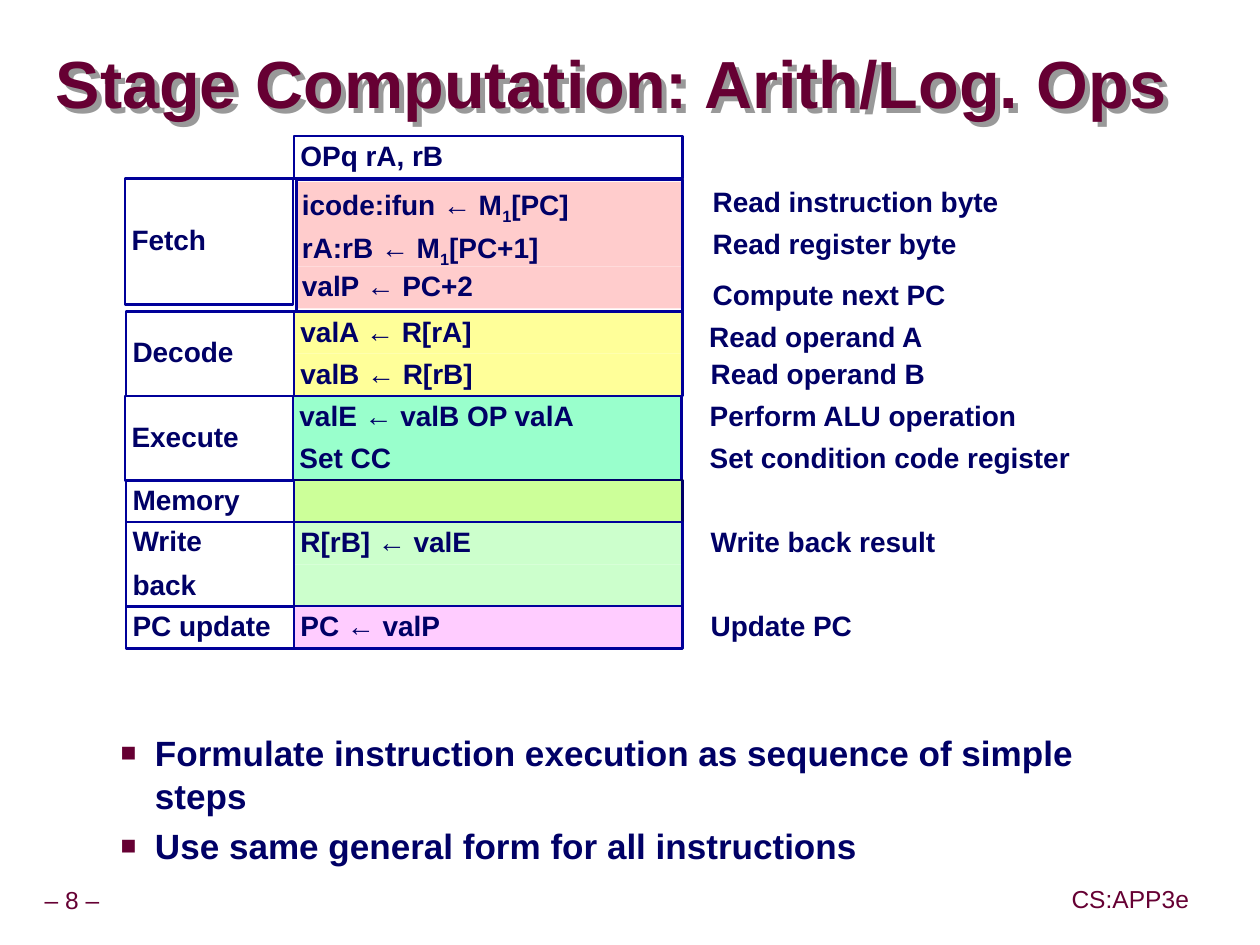
from lxml import etree
from pptx import Presentation
from pptx import util as u
from pptx.dml.color import RGBColor
from pptx.enum import shapes, text
from pptx.oxml import ns

COLORS = {
    "maroon": "660033", "navy": "000066", "border": "000099", "shadow": "999999",
    "fetch": "FFCCCC", "decode": "FFFF99", "execute": "99FFCC",
    "memory": "CCFF99", "write": "CCFFCC", "update": "FFCCFF",
}
ROW = 0.85
LABEL_WIDTH, STEP_WIDTH = 3.38, 7.82
NOTE_OFFSET = 11.64
CELL_FORMAT = {"size": u.Pt(16), "name": "Arial", "bold": True}
BODY_FORMAT = {"size": u.Pt(20), "name": "Arial", "bold": True}
TITLE_FORMAT = {"size": u.Pt(38), "name": "Arial", "bold": True}
FOOTER_FORMAT = {"size": u.Pt(14), "name": "Arial", "bold": False}

# Each step is (computation, note); a subscript stands between bars.
# nudge moves the computations, note_nudges moves single notes.
STAGES = [
    {"label": "Fetch", "color": "fetch", "box": (2.52, 3.59), "label_height": 2.54,
     "nudge": (0.05, 0.07), "note_nudges": [(0.06, 0.07), (0.06, 0.07), (0.06, 0.25)],
     "frame": (5.97, 3.61, 7.77, 2.66),
     "steps": [("icode:ifun ← M|1|[PC]", "Read instruction byte"),
               ("rA:rB ← M|1|[PC+1]", "Read register byte"),
               ("valP ← PC+2", "Compute next PC")]},
    {"label": "Decode", "color": "decode", "box": (2.54, 6.27),
     "note_nudges": [(-0.03, 0.11), (0, 0)],
     "steps": [("valA ← R[rA]", "Read operand A"), ("valB ← R[rB]", "Read operand B")]},
    {"label": "Execute", "color": "execute", "box": (2.52, 7.97),
     "steps": [("valE ← valB OP valA", "Perform ALU operation"),
               ("Set CC", "Set condition code register")]},
    {"label": "Memory", "color": "memory", "box": (2.54, 9.66),
     "border": "navy", "steps": [("", "")]},
    {"label": "Write\nback", "color": "write", "box": (2.54, 10.51),
     "steps": [("R[rB] ← valE", "Write back result"), ("", "")]},
    {"label": "PC update", "color": "update", "box": (2.54, 12.2),
     "steps": [("PC ← valP", "Update PC")]},
]


def rgb(name):
    return RGBColor.from_string(COLORS[name])


def apply_format(target, values):
    for name, value in values.items():
        setattr(target, name, value)


def set_frame(frame, inset, anchor, wrap=True):
    margins = {f"margin_{side}": u.Cm(inset) for side in ("left", "top", "right", "bottom")}
    apply_format(frame, {**margins, "vertical_anchor": anchor, "word_wrap": wrap,
                         "auto_size": text.MSO_AUTO_SIZE.NONE})


def write_paragraph(para, wording, values, color):
    for index, part in enumerate(wording.split("|")):
        span = para.add_run()
        span.text = part
        apply_format(span.font, values)
        span.font.color.rgb = rgb(color)
        if index % 2:
            span._r.get_or_add_rPr().set("baseline", "-25000")


def write_cell(shape, wording, anchor=text.MSO_ANCHOR.TOP):
    set_frame(shape.text_frame, 0.13, anchor)
    for index, line in enumerate(wording.split("\n")):
        para = shape.text_frame.add_paragraph() if index else shape.text_frame.paragraphs[0]
        apply_format(para, {"alignment": text.PP_ALIGN.LEFT, "line_spacing": 0.9,
                            "space_before": u.Pt(8 if index else 0)})
        write_paragraph(para, line, CELL_FORMAT, "navy")


def add_box(page, box, fill=None, border=None, wording="", anchor=text.MSO_ANCHOR.TOP):
    shape = page.shapes.add_shape(shapes.MSO_SHAPE.RECTANGLE, *map(u.Cm, box))
    shape.shadow.inherit = False
    if fill:
        shape.fill.solid()
        shape.fill.fore_color.rgb = rgb(fill)
    else:
        shape.fill.background()
    if border:
        shape.line.color.rgb = rgb(border)
        shape.line.width = u.Pt(1.5)
    else:
        shape.line.fill.background()
    if wording:
        write_cell(shape, wording, anchor)


def add_stage(page, stage):
    left, top = stage["box"]
    steps = stage["steps"]
    height = ROW * len(steps)
    step_left = left + LABEL_WIDTH
    shift_x, shift_y = stage.get("nudge", (0, 0))
    note_nudges = stage.get("note_nudges", [(0, 0)] * len(steps))
    # Computations and their notes
    for index, ((step, note), (note_x, note_y)) in enumerate(zip(steps, note_nudges)):
        row_top = top + index * ROW
        add_box(page, (step_left + shift_x, row_top + shift_y, STEP_WIDTH, ROW),
                stage["color"], wording=step)
        if note:
            note_box = (left + NOTE_OFFSET + note_x, row_top + note_y, STEP_WIDTH, ROW)
            write_cell(page.shapes.add_textbox(*map(u.Cm, note_box)), note)
    # Frame and stage name
    add_box(page, stage.get("frame", (step_left, top, STEP_WIDTH, height)),
            border=stage.get("border", "border"))
    add_box(page, (left, top, LABEL_WIDTH, stage.get("label_height", height)),
            border="border", wording=stage["label"], anchor=text.MSO_ANCHOR.MIDDLE)


def place(shape, box):
    apply_format(shape, dict(zip(("left", "top", "width", "height"), map(u.Cm, box))))


def add_title(page, box, wording):
    title = page.shapes.title
    place(title, box)
    set_frame(title.text_frame, 0, text.MSO_ANCHOR.MIDDLE)
    para = title.text_frame.paragraphs[0]
    apply_format(para, {"alignment": text.PP_ALIGN.LEFT, "line_spacing": 0.87})
    write_paragraph(para, wording, TITLE_FORMAT, "maroon")
    effects = etree.SubElement(title._element.spPr, ns.qn("a:effectLst"))
    shadow = etree.SubElement(effects, ns.qn("a:outerShdw"), dist="50800", dir="2700000")
    etree.SubElement(shadow, ns.qn("a:srgbClr"), val=COLORS["shadow"])


def add_bullets(page, box, lines):
    body = page.placeholders[1]
    place(body, box)
    set_frame(body.text_frame, 0.13, text.MSO_ANCHOR.TOP)
    apply_format(body.text_frame, {"margin_left": u.Cm(0.25), "margin_right": u.Cm(0.25)})
    for index, line in enumerate(lines):
        para = body.text_frame.add_paragraph() if index else body.text_frame.paragraphs[0]
        apply_format(para, {"level": 1, "space_before": u.Pt(5 if index else 0)})
        props = para._p.get_or_add_pPr()
        props.set("marL", str(u.Cm(2.06)))
        props.set("indent", str(-u.Cm(0.69)))
        color = etree.SubElement(props, ns.qn("a:buClr"))
        etree.SubElement(color, ns.qn("a:srgbClr"), val=COLORS["maroon"])
        etree.SubElement(props, ns.qn("a:buSzPct"), val="75000")
        etree.SubElement(props, ns.qn("a:buFont"), typeface="Arial")
        etree.SubElement(props, ns.qn("a:buChar"), char="■")
        write_paragraph(para, line, BODY_FORMAT, "navy")


def add_footer(page, box, wording):
    footer = page.shapes.add_textbox(*map(u.Cm, box))
    set_frame(footer.text_frame, 0.13, text.MSO_ANCHOR.MIDDLE, wrap=False)
    para = footer.text_frame.paragraphs[0]
    apply_format(para, {"alignment": text.PP_ALIGN.CENTER, "line_spacing": 0.9})
    write_paragraph(para, wording, FOOTER_FORMAT, "maroon")


def main():
    deck = Presentation()
    deck.slide_width, deck.slide_height = u.Cm(25.37), u.Cm(19.02)
    page = deck.slides.add_slide(deck.slide_layouts[1])
    add_title(page, (1.12, 0.69, 24.18, 2.16), "Stage Computation: Arith/Log. Ops")
    add_bullets(page, (0.81, 14.6, 23.04, 3.25), [
        "Formulate instruction execution as sequence of simple steps",
        "Use same general form for all instructions"])
    # Instruction heading and stages
    add_box(page, (5.92, 2.74, STEP_WIDTH, ROW), border="border", wording="OPq rA, rB")
    for stage in STAGES:
        add_stage(page, stage)
    # Footer
    add_footer(page, (0.61, 17.75, 1.68, 0.79), "– 8 –")
    add_footer(page, (21.44, 17.73, 2.64, 0.81), "CS:APP3e")
    deck.save("out.pptx")


if __name__ == "__main__":
    main()
